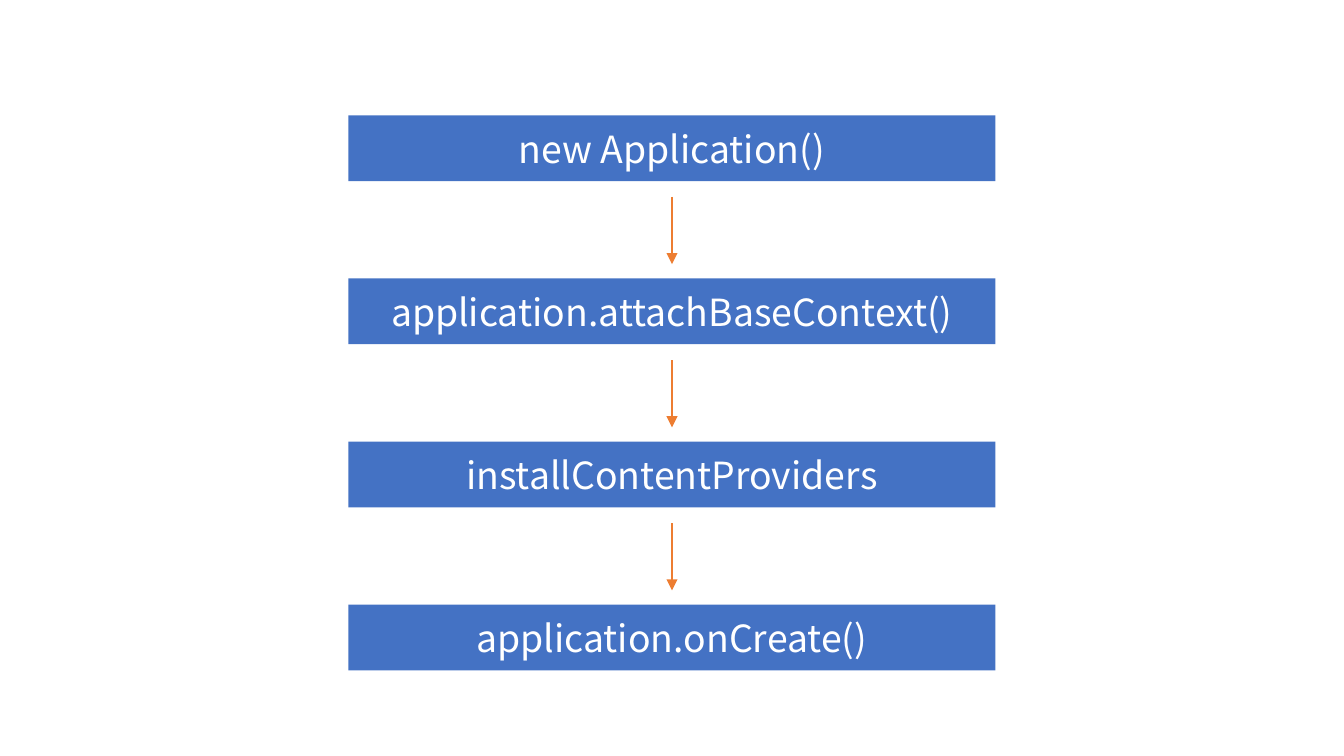
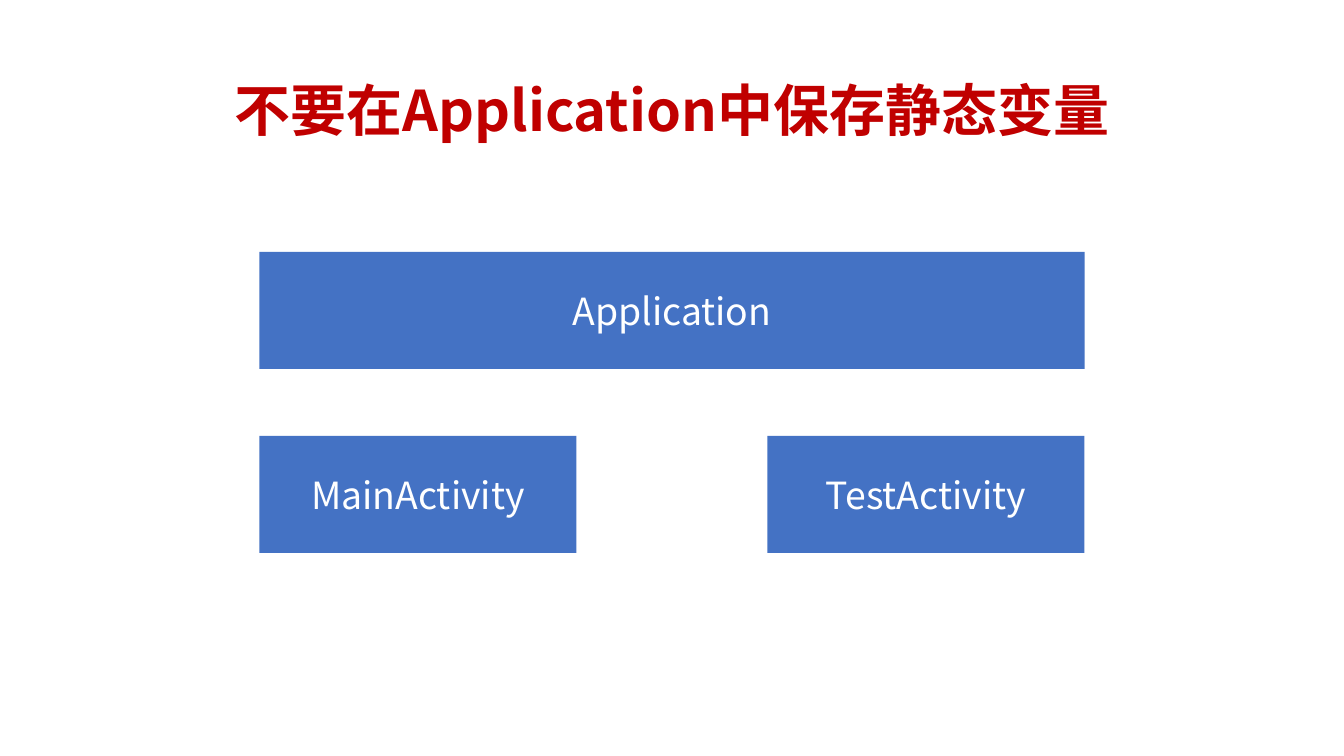
from lxml.etree import SubElement as Sub
from pptx import Presentation
from pptx.dml.color import RGBColor as RGB
from pptx.enum.shapes import MSO_CONNECTOR as LINK, MSO_SHAPE as SHAPE
from pptx.enum.text import MSO_ANCHOR as ANCHOR, PP_ALIGN as ALIGN
from pptx.oxml.ns import qn
from pptx.util import Inches, Pt

WIDE = Inches(10)
HIGH = WIDE * 9 // 16
FONT = "Noto Sans CJK SC"
HUES = {"box": "4472C4", "arrow": "ED7D31", "title": "C00000", "text": "FFFFFF"}
STEPS = ["new Application()", "application.attachBaseContext()",
         "installContentProviders", "application.onCreate()"]


def hue(name):
    """Return a named colour."""
    return RGB.from_string(HUES[name])


def place(*parts):
    """Turn percentages, in x and y pairs, into slide lengths."""
    return [round(part / 100 * (HIGH if i % 2 else WIDE))
            for i, part in enumerate(parts)]


def write(shape, text, size, tint, bold=False):
    """Put one centred, styled paragraph in a shape."""
    frame = shape.text_frame
    frame.text = text
    frame.word_wrap = True
    frame.vertical_anchor = ANCHOR.MIDDLE
    para = frame.paragraphs[0]
    para.alignment = ALIGN.CENTER
    font = para.font
    font.name, font.size, font.bold = FONT, Pt(size), bold
    font.color.rgb = hue(tint)
    style = para._p.pPr.find(qn("a:defRPr"))
    Sub(style, qn("a:ea"), typeface=FONT)
    return para


def add_box(slide, text, *area):
    """Draw a filled box with a label."""
    box = slide.shapes.add_shape(SHAPE.RECTANGLE, *place(*area))
    box.shadow.inherit = False
    box.fill.solid()
    box.fill.fore_color.rgb = hue("box")
    box.line.fill.background()
    write(box, text, 20, "text")


def add_arrow(slide, x, top, drop):
    """Draw an arrow pointing down."""
    ends = place(x, top, x, top + drop)
    arrow = slide.shapes.add_connector(LINK.STRAIGHT, *ends)
    arrow.line.color.rgb = hue("arrow")
    arrow.line.width = Pt(1.5)
    Sub(arrow.line._get_or_add_ln(), qn("a:tailEnd"), type="triangle")
    Sub(arrow._element.spPr, qn("a:effectLst"))


def add_title(slide, text):
    """Fill and place the title."""
    title = slide.shapes.title
    title.left, title.top, title.width, title.height = place(6.9, 5.33, 86.2, 19.35)
    write(title, text, 30, "title", True).line_spacing = 0.9


def add_flow(slide, steps):
    """Stack boxes at an equal pitch with arrows between them."""
    first, pitch, high = 15.25, 21.58, 8.7
    for i, step in enumerate(steps):
        top = first + i * pitch
        add_box(slide, step, 25.93, top, 48.13, high)
        if i:
            add_arrow(slide, 50, top - pitch + high + 2.1, 8.9)


def add_tree(slide, root, leaves):
    """Draw a wide box above evenly spread smaller ones."""
    left, wide, small, high = 19.3, 61.4, 23.6, 15.48
    add_box(slide, root, left, 33.33, wide, high)
    step = (wide - small) / (len(leaves) - 1)
    for i, leaf in enumerate(leaves):
        add_box(slide, leaf, left + i * step, 57.67, small, high)


def main():
    """Build and save the deck."""
    deck = Presentation()
    deck.slide_width, deck.slide_height = WIDE, HIGH
    add_flow(deck.slides.add_slide(deck.slide_layouts[6]), STEPS)
    slide = deck.slides.add_slide(deck.slide_layouts[5])
    add_title(slide, "不要在Application中保存静态变量")
    add_tree(slide, "Application", ["MainActivity", "TestActivity"])
    deck.save("out.pptx")


if __name__ == "__main__":
    main()
